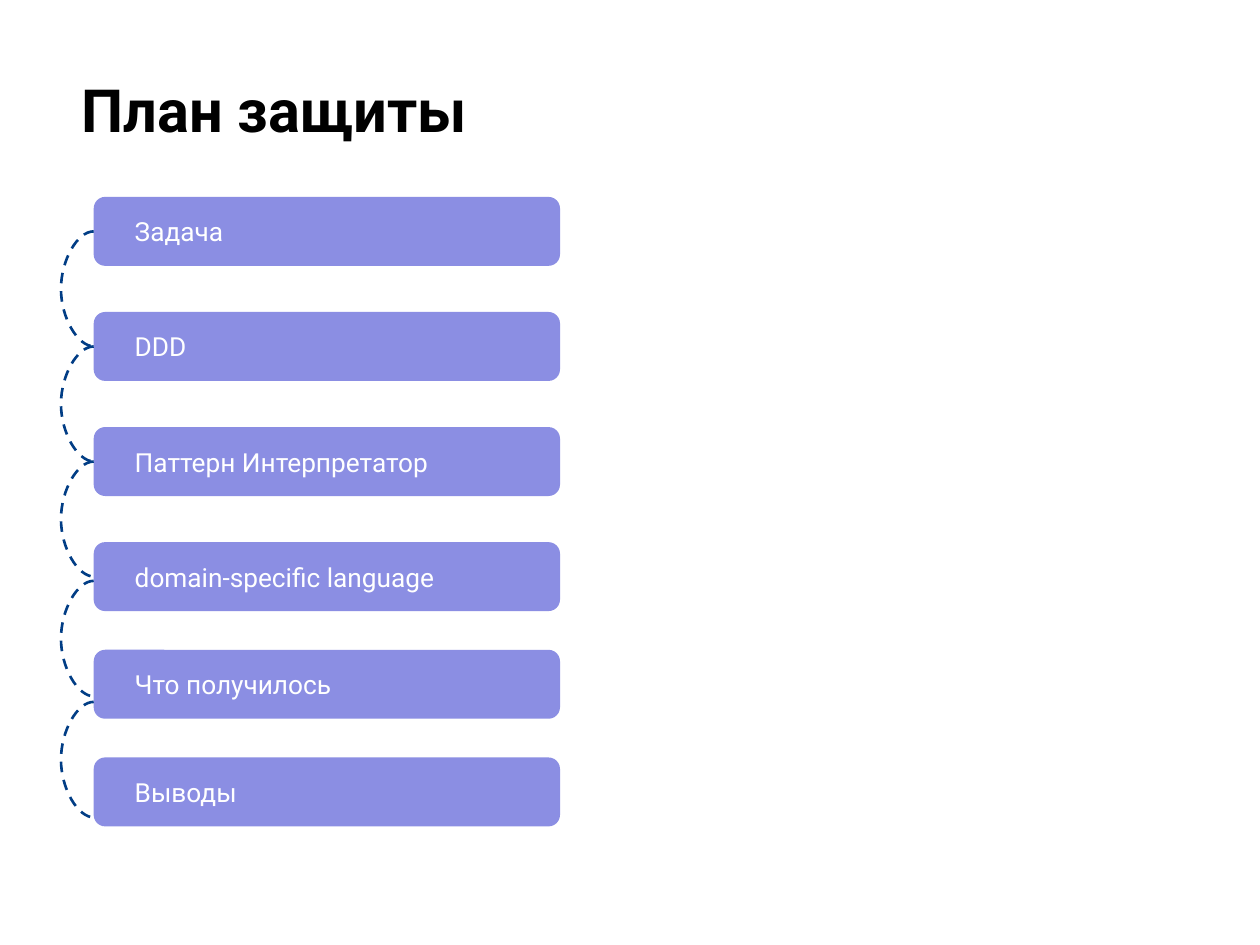
from dataclasses import dataclass

from lxml.etree import SubElement
from pptx import Presentation
from pptx.dml.color import RGBColor
from pptx.enum.dml import MSO_LINE
from pptx.enum.shapes import MSO_CONNECTOR, MSO_SHAPE
from pptx.enum.text import MSO_ANCHOR, PP_ALIGN
from pptx.oxml.ns import qn
from pptx.shapes.autoshape import Shape
from pptx.slide import Slide
from pptx.util import Cm, Pt


@dataclass(frozen=True)
class Theme:
    font: str = "Roboto"
    heading: RGBColor = RGBColor(0x00, 0x00, 0x00)
    step_text: RGBColor = RGBColor(0xFF, 0xFF, 0xFF)
    step_fill: RGBColor = RGBColor(0x8B, 0x8E, 0xE3)
    arc: RGBColor = RGBColor(0x01, 0x3D, 0x85)
    heading_size: float = 34
    step_size: float = 15
    arc_width: float = 1.5


@dataclass(frozen=True)
class Step:
    label: str
    top: float


@dataclass(frozen=True)
class Arc:
    top: float
    bottom: float


THEME = Theme()
STEP_LEFT, STEP_WIDTH, STEP_HEIGHT = 1.89, 9.4, 1.39
FIRST_TOP, WIDE_PITCH, NARROW_PITCH = 3.97, 2.32, 2.17
WIDE_GAPS = 3
ARC_WIDTH, ARC_BULGE = 0.01, 0.66
LOOSE_ARC_TOPS, LOOSE_ARC_HEIGHT = (11.71, 14.15), 2.33
LABELS = (
    "Задача",
    "DDD",
    "Паттерн Интерпретатор",
    "domain-specific language",
    "Что получилось",
    "Выводы",
)


def step_top(index: int) -> float:
    wide = min(index, WIDE_GAPS)
    return FIRST_TOP + wide * WIDE_PITCH + (index - wide) * NARROW_PITCH


def write_text(shape: Shape, text: str, *, size: float, color: RGBColor,
               bold: bool = False, side_inset: float = 0.25,
               anchor: MSO_ANCHOR = MSO_ANCHOR.TOP) -> None:
    frame = shape.text_frame
    frame.word_wrap = True
    frame.vertical_anchor = anchor
    frame.margin_left = frame.margin_right = Cm(side_inset)
    frame.margin_top = frame.margin_bottom = Cm(0.25)
    paragraph = frame.paragraphs[0]
    paragraph.alignment = PP_ALIGN.LEFT
    run = paragraph.add_run()
    run.text = text
    run.font.name = THEME.font
    run.font.size = Pt(size)
    run.font.bold = bold
    run.font.color.rgb = color


def draw_step(slide: Slide, step: Step) -> None:
    bar = slide.shapes.add_shape(
        MSO_SHAPE.ROUNDED_RECTANGLE, Cm(STEP_LEFT), Cm(step.top),
        Cm(STEP_WIDTH), Cm(STEP_HEIGHT))
    bar.shadow.inherit = False
    bar.fill.solid()
    bar.fill.fore_color.rgb = THEME.step_fill
    bar.line.fill.background()
    write_text(bar, step.label, size=THEME.step_size, color=THEME.step_text,
               side_inset=0.76, anchor=MSO_ANCHOR.MIDDLE)


def draw_arc(slide: Slide, arc: Arc) -> None:
    link = slide.shapes.add_connector(
        MSO_CONNECTOR.CURVE, Cm(STEP_LEFT), Cm(arc.top),
        Cm(STEP_LEFT + ARC_WIDTH), Cm(arc.bottom))
    link.line.color.rgb = THEME.arc
    link.line.width = Pt(THEME.arc_width)
    link.line.dash_style = MSO_LINE.DASH
    properties = link._element.spPr
    bend = round(-ARC_BULGE / ARC_WIDTH * 100000)
    guides = properties.find(qn("a:prstGeom")).find(qn("a:avLst"))
    SubElement(guides, qn("a:gd"), name="adj1", fmla=f"val {bend}")
    SubElement(properties, qn("a:effectLst"))


def main() -> None:
    presentation = Presentation()
    presentation.slide_width = Cm(25.4)
    presentation.slide_height = Cm(19.05)
    slide = presentation.slides.add_slide(presentation.slide_layouts[6])

    heading = slide.shapes.add_textbox(Cm(1.4), Cm(1.22), Cm(23.67), Cm(2.08))
    write_text(heading, "План защиты", size=THEME.heading_size,
               color=THEME.heading, bold=True)

    steps = [Step(label, step_top(i)) for i, label in enumerate(LABELS)]
    for step in steps:
        draw_step(slide, step)

    centers = [step.top + STEP_HEIGHT / 2 for step in steps[:WIDE_GAPS + 1]]
    arcs = [Arc(top, bottom) for top, bottom in zip(centers, centers[1:])]
    arcs += [Arc(top, top + LOOSE_ARC_HEIGHT) for top in LOOSE_ARC_TOPS]
    for arc in arcs:
        draw_arc(slide, arc)

    presentation.save("out.pptx")


if __name__ == "__main__":
    main()
